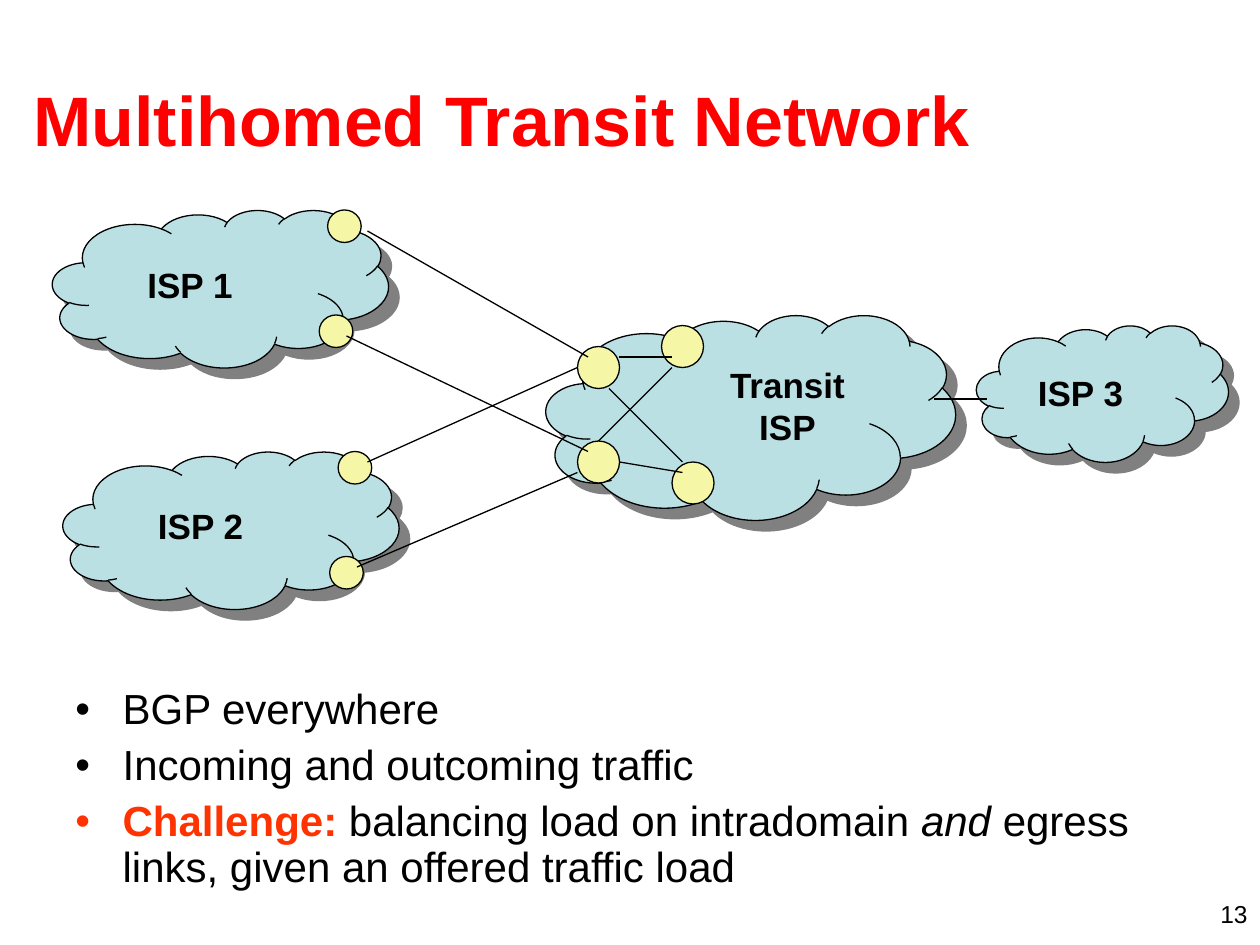
from lxml import etree
from pptx import Presentation
from pptx.dml.color import RGBColor
from pptx.enum.shapes import MSO_CONNECTOR as CONN, MSO_SHAPE as SHAPE
from pptx.enum.text import MSO_ANCHOR as ANCHOR, MSO_AUTO_SIZE as AUTO, PP_ALIGN as ALIGN
from pptx.oxml.ns import qn
from pptx.util import Pt

PX = 7620
rgb = RGBColor.from_string
CLOUD, CIRCLE, SHADOW = "BBE0E3", "F5F7A7", "808080"
BLACK, RED, ORANGE = "000000", "FF0000", "FF3300"


def add_runs(p, runs):
    for text, color, fmt in runs:
        r = p.add_run()
        r.text = text
        r.font.name = "Arial"
        r.font.color.rgb = rgb(color)
        for name, value in fmt.items():
            setattr(r.font, name, value)


def add_shape(shapes, kind, x, y, w, h, fill):
    sp = shapes.add_shape(kind, x * PX, y * PX, w * PX, h * PX)
    sp.shadow.inherit = False
    sp.fill.solid()
    sp.fill.fore_color.rgb = rgb(fill)
    sp.line.color.rgb = rgb(BLACK)
    sp.line.width = Pt(0.75)
    if kind == SHAPE.CLOUD:
        effects = sp._element.spPr.find(qn("a:effectLst"))
        shadow = etree.SubElement(effects, qn("a:outerShdw"), dist=str(Pt(8.5)),
                                  dir="2700000", algn="ctr", rotWithShape="0")
        etree.SubElement(shadow, qn("a:srgbClr"), val=SHADOW)


prs = Presentation()
prs.slide_width, prs.slide_height = 1200 * PX, 900 * PX
s = prs.slides.add_slide(prs.slide_layouts[5])

title = s.shapes.title
for name, value in dict(left=20, top=38, width=1150, height=150).items():
    setattr(title, name, value * PX)
tf = title.text_frame
for name, value in dict(vertical_anchor=ANCHOR.MIDDLE, word_wrap=True, auto_size=AUTO.NONE).items():
    setattr(tf, name, value)
p = tf.paragraphs[0]
p.alignment = ALIGN.LEFT
add_runs(p, [("Multihomed Transit Network", RED, dict(size=Pt(40), bold=True))])

add_shape(s.shapes, SHAPE.CLOUD, 520, 300, 390, 195, CLOUD)
for x, y in [(550, 420), (550, 330), (630, 310), (640, 440)]:
    add_shape(s.shapes, SHAPE.OVAL, x, y, 40, 40, CIRCLE)

isps = [(50, 200), (60, 430)]
for x, y in isps:
    group = s.shapes.add_group_shape()
    add_shape(group.shapes, SHAPE.CLOUD, x, y, 320, 150, CLOUD)
    for dx, dy in [(262, 0), (254, 100)]:
        add_shape(group.shapes, SHAPE.OVAL, x + dx, y + dy, 32, 31, CIRCLE)

add_shape(s.shapes, SHAPE.CLOUD, 930, 310, 240, 130, CLOUD)

links = [
    (640, 340, 590, 340), (650, 450, 590, 440), (650, 440, 580, 370), (640, 350, 570, 420),
    (560, 340, 350, 220), (550, 350, 350, 440), (560, 430, 330, 320), (550, 450, 340, 540),
    (940, 380, 890, 380),
]
for link in links:
    cx = s.shapes.add_connector(CONN.STRAIGHT, *[v * PX for v in link])
    cx.line.color.rgb = rgb(BLACK)
    cx.line.width = Pt(0.75)
    etree.SubElement(cx._element.spPr, qn("a:effectLst"))

label = dict(size=Pt(20), bold=True)
boxes = [(x + 41, y + 45, 180, 53, f"ISP {i}", label, ALIGN.CENTER)
         for i, (x, y) in enumerate(isps, 1)]
boxes += [
    (680, 340, 140, 92, "Transit\vISP", label, ALIGN.CENTER),
    (961, 348, 136, 53, "ISP 3", label, ALIGN.CENTER),
    (920, 850, 280, 30, "13", dict(size=Pt(14)), ALIGN.RIGHT),
]
for x, y, w, h, text, fmt, align in boxes:
    tf = s.shapes.add_textbox(x * PX, y * PX, w * PX, h * PX).text_frame
    tf.word_wrap = True
    p = tf.paragraphs[0]
    p.alignment = align
    for i, line in enumerate(text.split("\v")):
        if i:
            p.add_line_break()
        add_runs(p, [(line, BLACK, fmt)])

plain = dict(size=Pt(24))
bullets = [
    (BLACK, [("BGP everywhere", BLACK, plain)]),
    (BLACK, [("Incoming and outcoming traffic", BLACK, plain)]),
    (ORANGE, [
        ("Challenge: ", ORANGE, dict(plain, bold=True)),
        ("balancing load on intradomain ", BLACK, plain),
        ("and", BLACK, dict(plain, italic=True)),
        (" egress links, given an offered traffic load", BLACK, plain),
    ]),
]
tf = s.shapes.add_textbox(60 * PX, 650 * PX, 1080 * PX, 210 * PX).text_frame
tf.word_wrap = True
for i, (color, runs) in enumerate(bullets):
    p = tf.add_paragraph() if i else tf.paragraphs[0]
    p.line_spacing = 0.9
    if i:
        p.space_before = Pt(6)
    pPr = p._p.get_or_add_pPr()
    pPr.set("marL", str(45 * PX))
    pPr.set("indent", str(-45 * PX))
    etree.SubElement(etree.SubElement(pPr, qn("a:buClr")), qn("a:srgbClr"), val=color)
    etree.SubElement(pPr, qn("a:buFont"), typeface="Arial")
    etree.SubElement(pPr, qn("a:buChar"), char="•")
    add_runs(p, runs)

prs.save("out.pptx")
